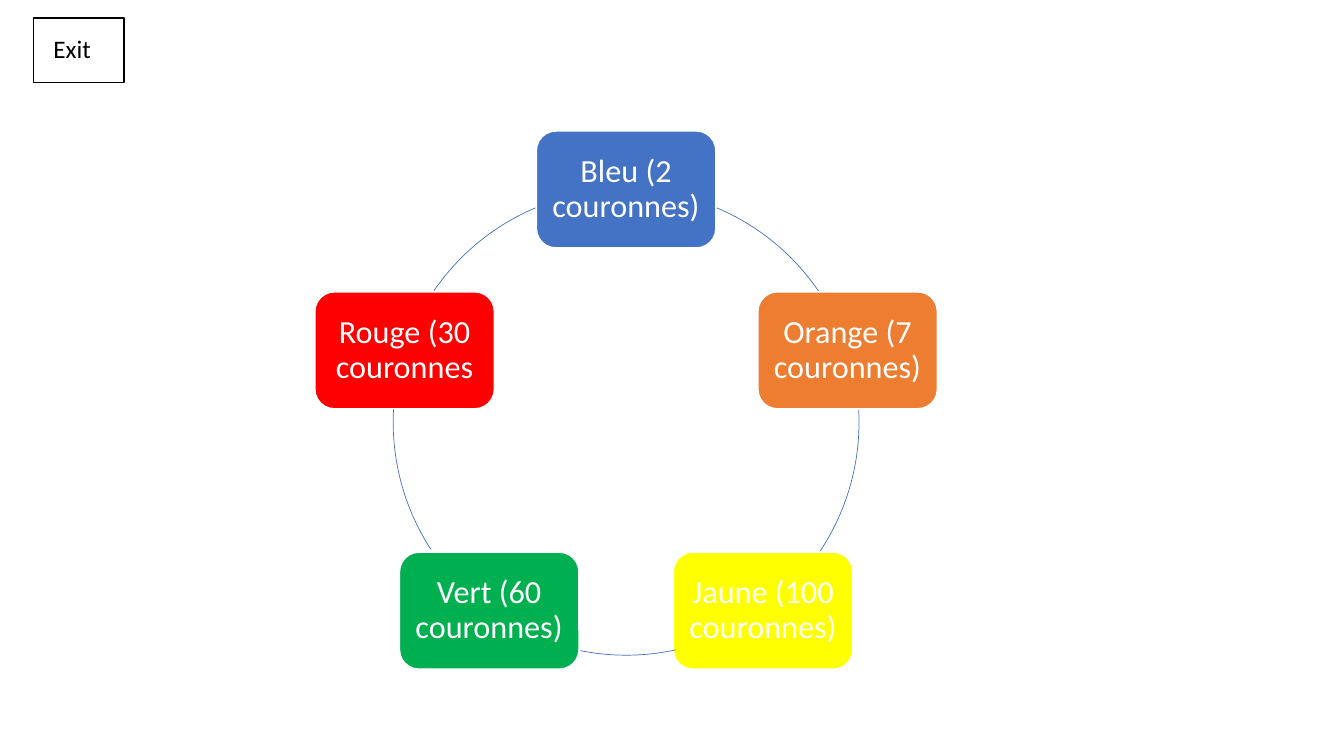
"""Build a slide showing a ring of five priced colours and an exit button."""
from math import cos, radians, sin

from lxml.etree import SubElement
from pptx import Presentation
from pptx.dml.color import RGBColor
from pptx.enum.shapes import MSO_SHAPE
from pptx.enum.text import MSO_ANCHOR, PP_ALIGN
from pptx.util import Inches, Pt

CENTER_X, CENTER_Y, RADIUS = 6.21, 4.19, 2.31
NODE_WIDTH, NODE_HEIGHT = 1.78, 1.16
NODES = [
    ("Bleu (2 couronnes)", "4472C4"),
    ("Orange (7 couronnes)", "ED7D31"),
    ("Jaune (100 couronnes)", "FFFF00"),
    ("Vert (60 couronnes)", "00B050"),
    ("Rouge (30 couronnes", "FF0000"),
]
ARCS = [(292.9, 325.8), (357, 33.5), (77.7, 101.3), (147, 183.5), (214.4, 247.1)]


def color(value):
    return RGBColor.from_string(value)


class SlideBuilder:
    """Hold the style and the current slide."""

    font = "Calibri"

    def __init__(self, slide):
        self.slide = slide

    def box(self, kind, left, top, width, height, fill, line):
        shape = self.slide.shapes.add_shape(
            kind, Inches(left), Inches(top), Inches(width), Inches(height))
        shape.shadow.inherit = False
        shape.fill.solid()
        shape.fill.fore_color.rgb = color(fill)
        shape.line.color.rgb = color(line)
        shape.line.width = Pt(1)
        return shape

    def label(self, shape, text, size, ink, align, inset):
        frame = shape.text_frame
        frame.text = text
        frame.word_wrap = True
        frame.vertical_anchor = MSO_ANCHOR.MIDDLE
        frame.margin_left = frame.margin_right = Inches(inset)
        paragraph = frame.paragraphs[0]
        paragraph.alignment = align
        paragraph.line_spacing = 0.9
        font = paragraph.runs[0].font
        font.name = self.font
        font.size = Pt(size)
        font.color.rgb = color(ink)

    def node(self, text, fill, angle):
        left = CENTER_X + RADIUS * cos(radians(angle)) - NODE_WIDTH / 2
        top = CENTER_Y + RADIUS * sin(radians(angle)) - NODE_HEIGHT / 2
        shape = self.box(MSO_SHAPE.ROUNDED_RECTANGLE, left, top,
                         NODE_WIDTH, NODE_HEIGHT, fill, "FFFFFF")
        self.label(shape, text, 23, "FFFFFF", PP_ALIGN.CENTER, 0.09)

    def arc(self, start, end):
        shape = self.slide.shapes.add_shape(
            MSO_SHAPE.ARC, Inches(CENTER_X - RADIUS), Inches(CENTER_Y - RADIUS),
            Inches(2 * RADIUS), Inches(2 * RADIUS))
        shape.shadow.inherit = False
        shape.fill.background()
        shape.line.color.rgb = color("4472C4")
        shape.line.width = Pt(0.5)
        for index, angle in enumerate((start, end)):
            shape.adjustments[index] = angle * 0.6

    def button(self, text):
        shape = self.box(MSO_SHAPE.RECTANGLE, 0.33, 0.18, 0.9, 0.64, "FFFFFF", "000000")
        self.label(shape, text, 18, "000000", PP_ALIGN.LEFT, 0.2)


def main():
    presentation = Presentation()
    presentation.slide_width = Inches(13.33)
    presentation.slide_height = Inches(7.5)
    slide = presentation.slides.add_slide(presentation.slide_layouts[6])
    builder = SlideBuilder(slide)
    for index, ((text, fill), arc) in enumerate(zip(NODES, ARCS)):
        builder.node(text, fill, 72 * index - 90)
        builder.arc(*arc)
    builder.button("Exit")
    presentation.save("out.pptx")


if __name__ == "__main__":
    main()
